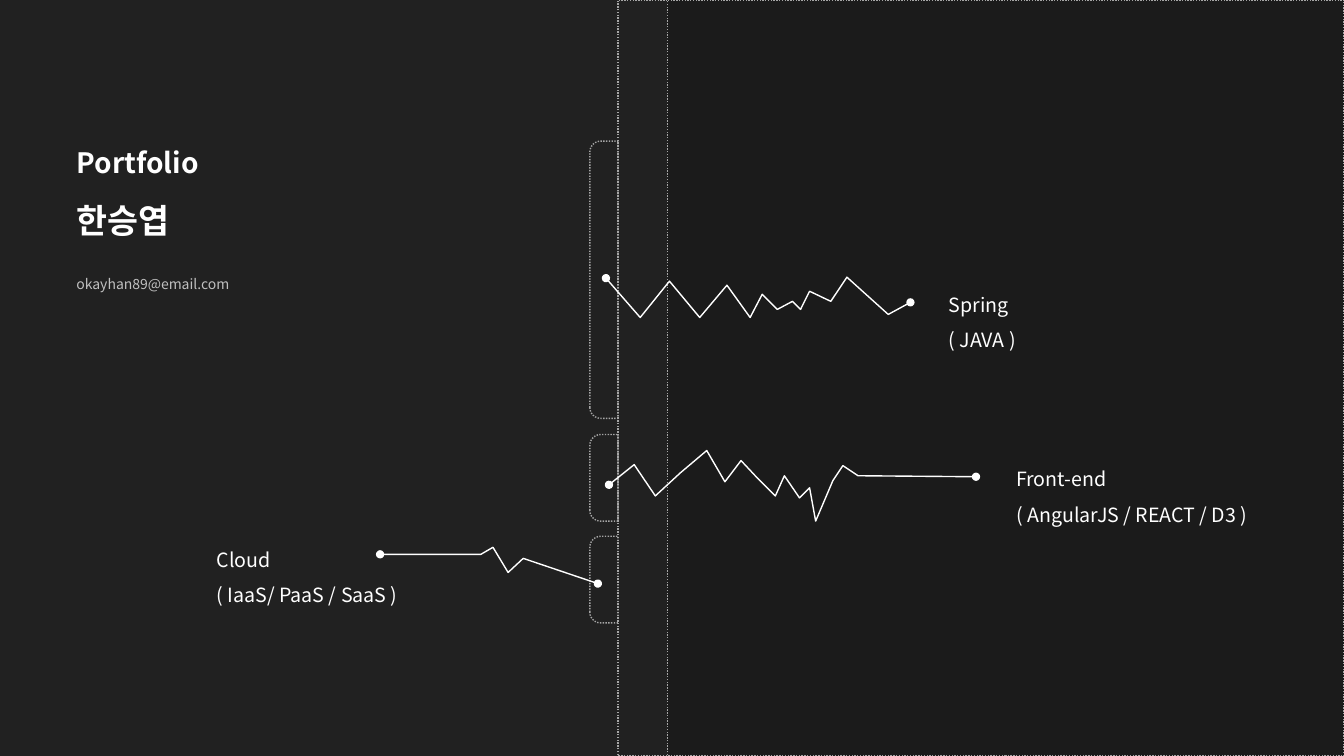
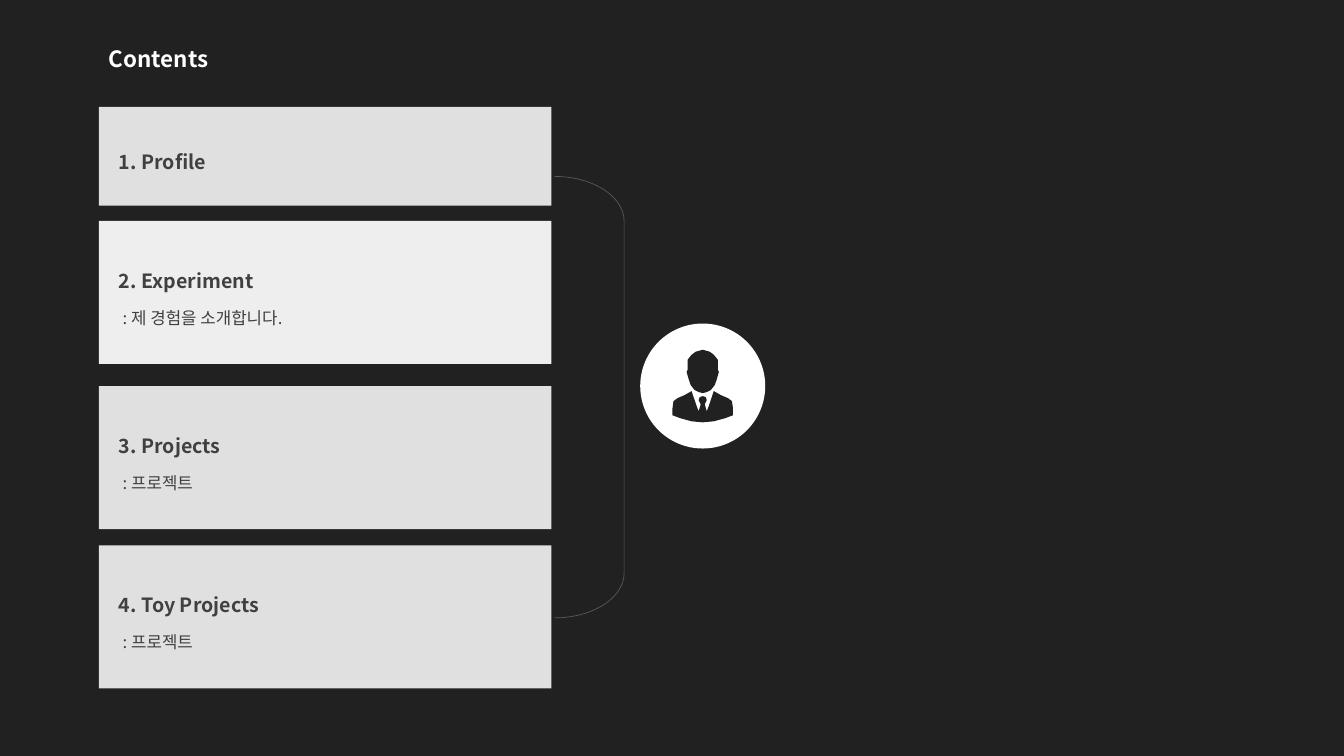
from lxml import etree
from pptx import Presentation
from pptx.dml.color import RGBColor
from pptx.enum import dml, shapes, text
from pptx.oxml import ns
from pptx import util as u

FONT = "Noto Sans CJK KR"
BACK, PANEL, WHITE, DOTTED = "212121", "1B1B1B", "FFFFFF", "A6A6A6"
CARD, CARD_LIGHT, CARD_TEXT, BRACKET = "E0E0E0", "EEEEEE", "404040", "595959"
WIDTH, HEIGHT = 13.33, 7.5
SHAPE = shapes.MSO_SHAPE


# Shared helpers
def rgb(value):
    return RGBColor.from_string(value)


def inches(values):
    return [u.Inches(value) for value in values]


def paint(shape, fill=None, line=None, width=1, dash=None):
    shape.shadow.inherit = False
    if fill:
        shape.fill.solid()
        shape.fill.fore_color.rgb = rgb(fill)
    else:
        shape.fill.background()
    if line:
        shape.line.color.rgb = rgb(line)
        shape.line.width = u.Pt(width)
        if dash:
            shape.line.dash_style = dash
    else:
        shape.line.fill.background()
    return shape


def add_preset(slide, kind, box, **style):
    return paint(slide.shapes.add_shape(kind, *inches(box)), **style)


def add_dotted(slide, kind, box, fill=None):
    return add_preset(slide, kind, box, fill=fill, line=DOTTED,
                      dash=dml.MSO_LINE.ROUND_DOT)


def add_outline(slide, origin, points, close=False, **style):
    """Draw a freeform from points measured from the origin, in inches."""
    left, top = origin
    spots = [inches((left + x, top + y)) for x, y in points]
    builder = slide.shapes.build_freeform(*spots[0])
    builder.add_line_segments(spots[1:], close=close)
    return paint(builder.convert_to_shape(), **style)


def write(frame, lines, anchor=text.MSO_ANCHOR.TOP, left=0.1):
    """Each line is (wording, size, colour, bold, points of space before)."""
    settings = {"word_wrap": True, "auto_size": text.MSO_AUTO_SIZE.NONE,
                "vertical_anchor": anchor, "margin_left": u.Inches(left),
                "margin_right": u.Inches(0.1), "margin_top": u.Inches(0.05),
                "margin_bottom": u.Inches(0.05)}
    for key, value in settings.items():
        setattr(frame, key, value)
    for index, (wording, size, colour, bold, gap) in enumerate(lines):
        line = frame.add_paragraph() if index else frame.paragraphs[0]
        layout = {"alignment": text.PP_ALIGN.LEFT, "line_spacing": 1.5,
                  "space_before": u.Pt(gap)}
        for key, value in layout.items():
            setattr(line, key, value)
        run = line.add_run()
        run.text = wording
        for key, value in {"name": FONT, "size": u.Pt(size), "bold": bold}.items():
            setattr(run.font, key, value)
        run.font.color.rgb = rgb(colour)
        east_asian = etree.SubElement(run.font._element, ns.qn("a:ea"))
        east_asian.set("typeface", FONT)


def add_label(slide, box, lines):
    write(slide.shapes.add_textbox(*inches(box)).text_frame, lines)


def titled_slide(prs, box, lines):
    slide = prs.slides.add_slide(prs.slide_layouts[5])
    title = slide.shapes.title
    title.left, title.top, title.width, title.height = inches(box)
    write(title.text_frame, lines)
    return slide


# Cover parts
def add_tab(slide, box):
    """A tab rounded on its left side: a turned shape with round top corners."""
    left, top, width, height = box
    turned = (left + (width - height) / 2, top + (height - width) / 2, height, width)
    tab = add_dotted(slide, SHAPE.ROUND_2_SAME_RECTANGLE, turned)
    tab.rotation = 270
    tab.adjustments[0], tab.adjustments[1] = 0.385, 0


def add_skill(slide, origin, points, label_box, wording):
    trace = add_outline(slide, origin, points, line=WHITE)
    outline = trace.line._get_or_add_ln()
    for end in ("a:headEnd", "a:tailEnd"):
        etree.SubElement(outline, ns.qn(end)).set("type", "oval")
    add_label(slide, label_box, [(line, 14, WHITE, False, 0) for line in wording])


SKILLS = [
    ((6.01, 2.75),
     [(0, .01), (.34, .4), (.63, .04), (.93, .4), (1.2, .08), (1.43, .4),
      (1.55, .17), (1.7, .32), (1.85, .24), (1.93, .32), (2.02, .14),
      (2.23, .24), (2.39, 0), (2.8, .37), (3.02, .25)],
     (9.31, 2.74, 1.5, 0.81), ["Spring", "( JAVA )"]),
    ((6.04, 4.47),
     [(0, .34), (.25, .14), (.46, .45), (.71, .22), (.97, 0), (1.15, .31),
      (1.31, .1), (1.46, .26), (1.65, .45), (1.74, .25), (1.89, .47),
      (1.99, .37), (2.05, .7), (2.22, .3), (2.32, .15), (2.47, .25), (3.64, .26)],
     (9.98, 4.47, 2.8, 0.81), ["Front-end", "( AngularJS / REACT / D3 )"]),
    ((3.77, 5.43),
     [(0, .07), (1, .07), (1.12, 0), (1.27, .25), (1.42, .11), (2.16, .36)],
     (2.05, 5.27, 2.7, 0.81), ["Cloud", "( IaaS/ PaaS / SaaS )"]),
]


def cover_slide(prs):
    slide = titled_slide(prs, (0.66, 1.23, 4.3, 1.3),
                         [("Portfolio", 20, WHITE, True, 0),
                          ("한승엽", 24, WHITE, True, 0)])
    add_label(slide, (0.66, 2.6, 4.3, 0.35),
              [("okayhan89@email.com", 10, "BFBFBF", False, 0)])
    # Spine with its tabs, then the darker panel
    spine, panel = 6.13, 6.62
    add_dotted(slide, SHAPE.RECTANGLE, (spine, 0, WIDTH - spine, HEIGHT), BACK)
    for top, height in ((1.4, 2.75), (4.31, 0.86), (5.32, 0.86)):
        add_tab(slide, (spine - 0.28, top, 0.28, height))
    add_dotted(slide, SHAPE.RECTANGLE, (panel, 0, WIDTH - panel, HEIGHT), PANEL)
    for skill in SKILLS:
        add_skill(slide, *skill)


# Contents parts
def add_card(slide, box, fill, heading, note=None):
    card = add_preset(slide, SHAPE.RECTANGLE, box, fill=fill)
    lines = [(heading, 14, CARD_TEXT, True, 0)]
    if note:
        lines.append((note, 12, CARD_TEXT, False, 3.6))
    write(card.text_frame, lines, text.MSO_ANCHOR.MIDDLE, left=0.2)


# Half outlines of the figure, measured from the middle of the disc
HEAD = [(0, -.36), (.07, -.34), (.11, -.31), (.15, -.26), (.15, -.16),
        (.16, -.14), (.14, -.07), (.12, -.01), (.08, .04), (.04, .06), (0, .07)]
BODY = [(0, .1), (.03, .11), (.04, .14), (.02, .18), (.04, .25), (.06, .2),
        (.11, .05), (.18, .09), (.25, .12), (.29, .15), (.3, .22), (.3, .29),
        (.22, .32), (.11, .35), (0, .36)]


def add_person(slide, box):
    left, top, size = box
    add_preset(slide, SHAPE.OVAL, (left, top, size, size), fill=WHITE)
    centre = (left + size / 2, top + size / 2)
    for half in (HEAD, BODY):
        mirrored = [(-x, y) for x, y in half[-2:0:-1]]
        add_outline(slide, centre, half + mirrored, close=True, fill=BACK)


def contents_slide(prs):
    left, width = 0.98, 4.49
    slide = titled_slide(prs, (left, 0.26, 5.28, 0.72),
                         [("Contents", 16, WHITE, True, 0)])
    cards = [
        (1.06, 0.98, CARD, "1. Profile"),
        (2.19, 1.42, CARD_LIGHT, "2. Experiment", " : 제 경험을 소개합니다."),
        (3.83, 1.42, CARD, "3. Projects", " : 프로젝트"),
        (5.41, 1.42, CARD, "4. Toy Projects", " : 프로젝트"),
    ]
    for top, height, *content in cards:
        add_card(slide, (left, top, width, height), *content)
    # Bracket from the cards to the person
    bracket = add_preset(slide, SHAPE.RIGHT_BRACKET, (5.5, 1.75, 0.69, 4.38),
                         line=BRACKET, width=0.5)
    bracket.adjustments[0] = 0.646
    add_person(slide, (6.35, 3.21, 1.24))


def main():
    prs = Presentation()
    prs.slide_width, prs.slide_height = inches((WIDTH, HEIGHT))
    backdrop = prs.slide_master.background.fill
    backdrop.solid()
    backdrop.fore_color.rgb = rgb(BACK)
    cover_slide(prs)
    contents_slide(prs)
    prs.save("out.pptx")


if __name__ == "__main__":
    main()
